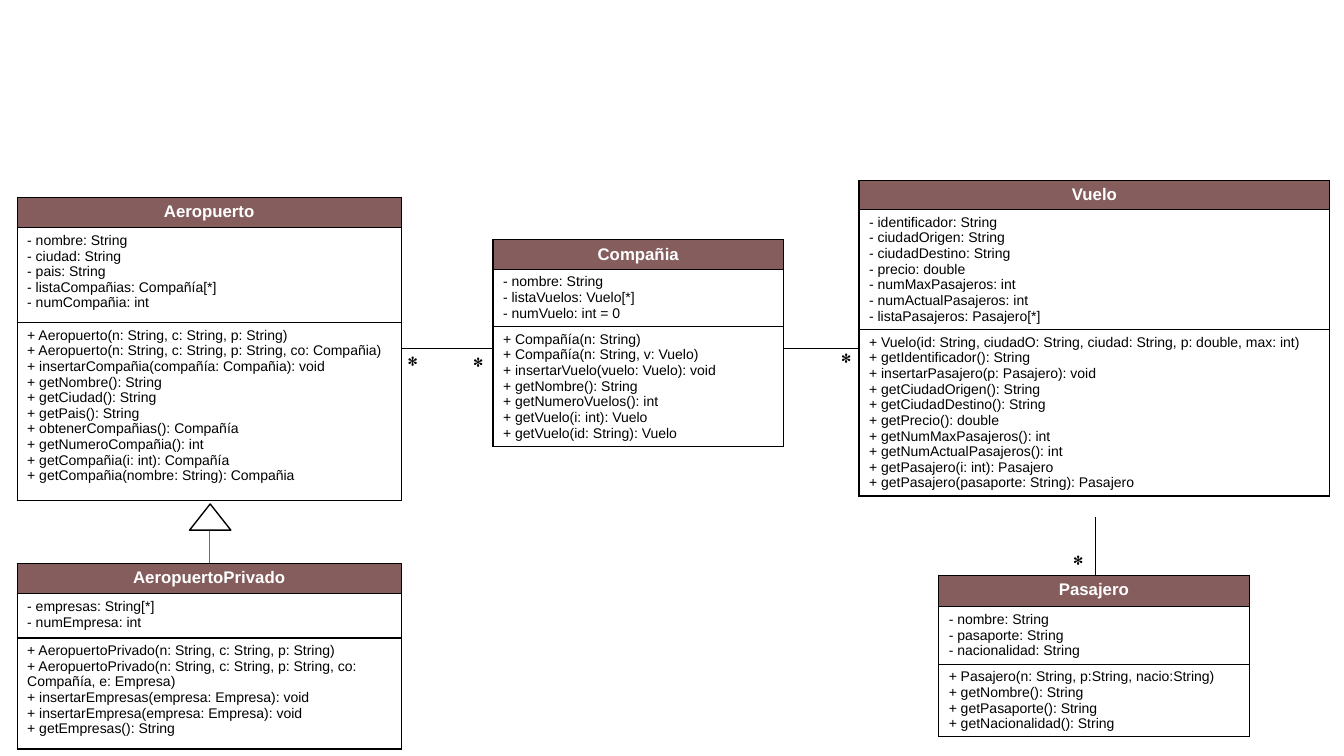
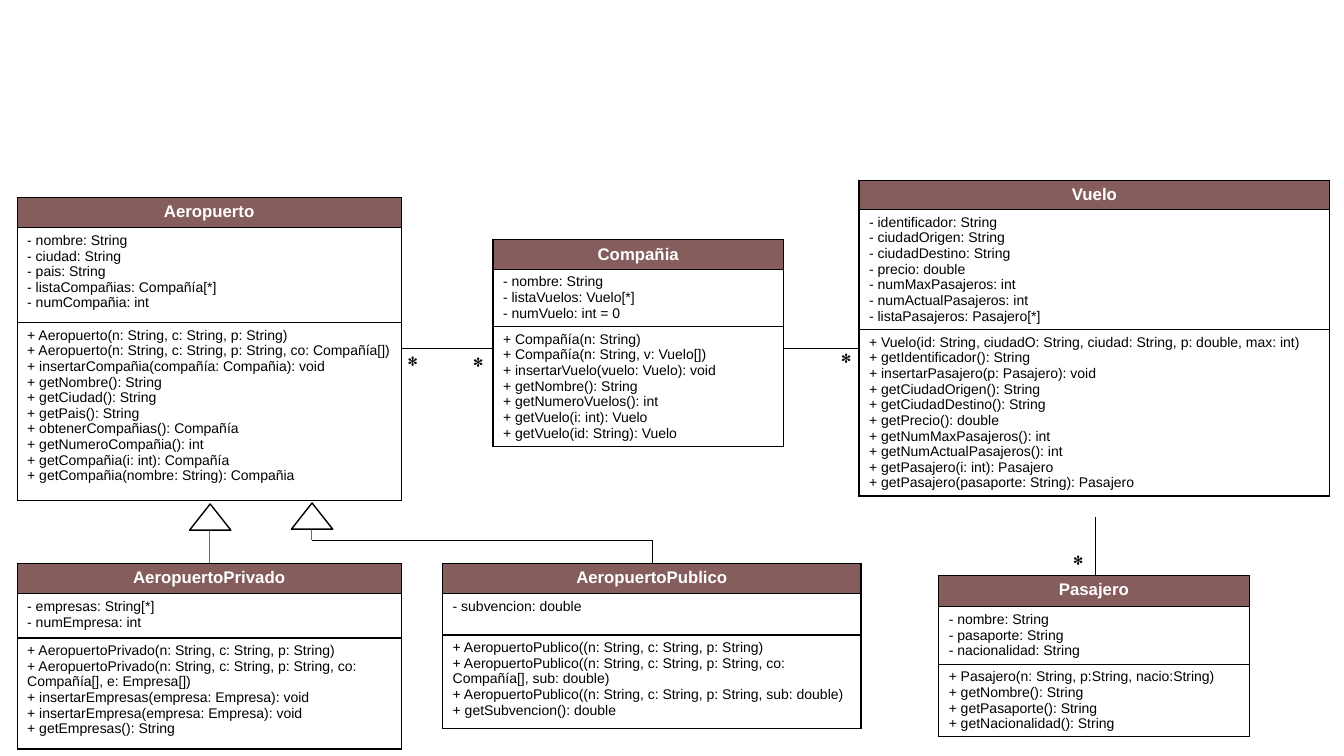
from dataclasses import dataclass

from lxml import etree
from pptx import Presentation
from pptx import util as u
from pptx.dml.color import RGBColor
from pptx.enum import shapes, text
from pptx.oxml import ns


@dataclass(frozen=True)
class Theme:
    header: str = "855D5D"
    ink: str = "000000"
    paper: str = "FFFFFF"
    accent: str = "D34817"
    font: str = "Arial"
    star_font: str = "TeX Gyre Bonum"
    title_size: float = 12
    member_size: float = 10
    star_size: float = 18
    border: float = 1
    line: float = 0.5


THEME = Theme()

AEROPUERTO = {
    "name": "Aeropuerto", "at": (0.17, 1.96), "width": 3.81, "rows": (0.3, 0.94, 1.77),
    "attributes": [
        "- nombre: String",
        "- ciudad: String",
        "- pais: String",
        "- listaCompañias: Compañía[*]",
        "- numCompañia: int",
    ],
    "methods": [
        "+ Aeropuerto(n: String, c: String, p: String)",
        "+ Aeropuerto(n: String, c: String, p: String, co: Compañia)",
        "+ insertarCompañia(compañía: Compañia): void",
        "+ getNombre(): String",
        "+ getCiudad(): String",
        "+ getPais(): String",
        "+ obtenerCompañias(): Compañía",
        "+ getNumeroCompañia(): int",
        "+ getCompañia(i: int): Compañía",
        "+ getCompañia(nombre: String): Compañia",
    ],
}
COMPANIA = {
    "name": "Compañia", "at": (4.89, 2.38), "width": 2.88, "rows": (0.29, 0.57, 1.18),
    "attributes": [
        "- nombre: String",
        "- listaVuelos: Vuelo[*]",
        "- numVuelo: int = 0",
    ],
    "methods": [
        "+ Compañía(n: String)",
        "+ Compañía(n: String, v: Vuelo)",
        "+ insertarVuelo(vuelo: Vuelo): void",
        "+ getNombre(): String",
        "+ getNumeroVuelos(): int",
        "+ getVuelo(i: int): Vuelo",
        "+ getVuelo(id: String): Vuelo",
    ],
}
VUELO = {
    "name": "Vuelo", "at": (8.52, 1.79), "width": 4.67, "rows": (0.29, 1.19, 1.65),
    "attributes": [
        "- identificador: String",
        "- ciudadOrigen: String",
        "- ciudadDestino: String",
        "- precio: double",
        "- numMaxPasajeros: int",
        "- numActualPasajeros: int",
        "- listaPasajeros: Pasajero[*]",
    ],
    "methods": [
        "+ Vuelo(id: String, ciudadO: String, ciudad: String, p: double, max: int)",
        "+ getIdentificador(): String",
        "+ insertarPasajero(p: Pasajero): void",
        "+ getCiudadOrigen(): String",
        "+ getCiudadDestino(): String",
        "+ getPrecio(): double",
        "+ getNumMaxPasajeros(): int",
        "+ getNumActualPasajeros(): int",
        "+ getPasajero(i: int): Pasajero",
        "+ getPasajero(pasaporte: String): Pasajero",
    ],
}
PASAJERO = {
    "name": "Pasajero", "at": (9.31, 5.71), "width": 3.08, "rows": (0.31, 0.57, 0.72),
    "attributes": [
        "- nombre: String",
        "- pasaporte: String",
        "- nacionalidad: String",
    ],
    "methods": [
        "+ Pasajero(n: String, p:String, nacio:String)",
        "+ getNombre(): String",
        "+ getPasaporte(): String",
        "+ getNacionalidad(): String",
    ],
}
PRIVADO = {
    "name": "AeropuertoPrivado", "at": (0.17, 5.59), "width": 3.81, "rows": (0.3, 0.44, 1.1),
    "attributes": [
        "- empresas: String[*]",
        "- numEmpresa: int",
    ],
    "methods": [
        "+ AeropuertoPrivado(n: String, c: String, p: String)",
        "+ AeropuertoPrivado(n: String, c: String, p: String, co: Compañía, e: Empresa)",
        "+ insertarEmpresas(empresa: Empresa): void",
        "+ insertarEmpresa(empresa: Empresa): void",
        "+ getEmpresas(): String",
    ],
}
PUBLICO = {
    "name": "AeropuertoPublico", "at": (4.39, 5.59), "width": 4.15, "rows": (0.3, 0.41, 0.93),
    "attributes": ["- subvencion: double"],
    "methods": [
        "+ AeropuertoPublico((n: String, c: String, p: String)",
        "+ AeropuertoPublico((n: String, c: String, p: String, co: Compañía[], sub: double)",
        "+ AeropuertoPublico((n: String, c: String, p: String, sub: double)",
        "+ getSubvencion(): double",
    ],
}

CLASSES = [COMPANIA, PASAJERO, VUELO, AEROPUERTO, PRIVADO]
LINES = [
    ((10.86, 5.13), (10.86, 5.71), THEME.ink),
    ((7.77, 3.46), (8.52, 3.46), THEME.ink),
    ((3.99, 3.46), (4.89, 3.46), THEME.ink),
    ((2.08, 5.59), (2.08, 5.13), THEME.accent),
]
PUBLICO_LINES = [
    ((6.47, 5.59), (6.47, 5.36), THEME.ink),
    ((6.47, 5.36), (3.09, 5.36), THEME.ink),
    ((3.09, 5.36), (3.09, 5.25), THEME.accent),
]
STARS = [(10.54, 5.39), (8.24, 3.39), (4.59, 3.43), (3.94, 3.42)]
STAR_SIZE = (0.43, 0.4)
ARROWS = [(1.88, 5)]
ARROW_SIZE = (0.41, 0.26)
ARRAY_PARAMETERS = {
    "v: Vuelo)": "v: Vuelo[])",
    "co: Compañia)": "co: Compañía[])",
    "co: Compañía, e: Empresa)": "co: Compañía[], e: Empresa[])",
}

SLIDES = [
    {"classes": CLASSES, "lines": LINES, "arrows": ARROWS, "changes": {}},
    {
        "classes": CLASSES + [PUBLICO],
        "lines": LINES + PUBLICO_LINES,
        "arrows": ARROWS + [(2.89, 4.99)],
        "changes": ARRAY_PARAMETERS,
    },
]


def inches(*values):
    return [u.Inches(value) for value in values]


def paint(fill, color):
    fill.solid()
    fill.fore_color.rgb = RGBColor.from_string(color)


def write(frame, lines, size, color, font=THEME.font, bold=False, align=text.PP_ALIGN.LEFT):
    formats = {"name": font, "size": u.Pt(size), "bold": bold}
    for index, line in enumerate(lines):
        paragraph = frame.paragraphs[0] if index == 0 else frame.add_paragraph()
        paragraph.alignment = align
        run = paragraph.add_run()
        run.text = line
        for name, value in formats.items():
            setattr(run.font, name, value)
        run.font.color.rgb = RGBColor.from_string(color)


def add_borders(cell):
    properties = cell._tc.get_or_add_tcPr()
    for index, side in enumerate("LRTB"):
        border = etree.Element(ns.qn(f"a:ln{side}"), w=str(u.Pt(THEME.border)))
        fill = etree.SubElement(border, ns.qn("a:solidFill"))
        etree.SubElement(fill, ns.qn("a:srgbClr"), val=THEME.ink)
        properties.insert(index, border)


def add_class(slide, item, changes):
    size = (item["width"], sum(item["rows"]))
    table = slide.shapes.add_table(3, 1, *inches(*item["at"], *size)).table
    methods = item["methods"]
    for old, new in changes.items():
        methods = [method.replace(old, new) for method in methods]
    contents = [[item["name"]], item["attributes"], methods]
    for index, (height, lines) in enumerate(zip(item["rows"], contents)):
        table.rows[index].height = u.Inches(height)
        cell = table.cell(index, 0)
        if index == 0:
            paint(cell.fill, THEME.header)
            write(cell.text_frame, lines, THEME.title_size, THEME.paper,
                  bold=True, align=text.PP_ALIGN.CENTER)
        else:
            paint(cell.fill, THEME.paper)
            write(cell.text_frame, lines, THEME.member_size, THEME.ink)
        add_borders(cell)


def add_line(slide, start, end, color):
    line = slide.shapes.add_connector(shapes.MSO_CONNECTOR.STRAIGHT, *inches(*start, *end))
    line.line.width = u.Pt(THEME.line)
    paint(line.line.fill, color)
    etree.SubElement(line._element.spPr, ns.qn("a:effectLst"))


def add_star(slide, position):
    frame = slide.shapes.add_textbox(*inches(*position, *STAR_SIZE)).text_frame
    frame.word_wrap = True
    frame.auto_size = text.MSO_AUTO_SIZE.SHAPE_TO_FIT_TEXT
    write(frame, ["*"], THEME.star_size, THEME.ink, THEME.star_font)


def add_arrow(slide, position):
    shape = slide.shapes.add_shape(
        shapes.MSO_SHAPE.ISOSCELES_TRIANGLE, *inches(*position, *ARROW_SIZE))
    shape.shadow.inherit = False
    paint(shape.fill, THEME.paper)
    paint(shape.line.fill, THEME.ink)
    shape.line.width = u.Pt(THEME.border)


def main():
    presentation = Presentation()
    presentation.slide_width, presentation.slide_height = inches(13.33, 7.5)
    for content in SLIDES:
        slide = presentation.slides.add_slide(presentation.slide_layouts[6])
        for item in content["classes"]:
            add_class(slide, item, content["changes"])
        for line in content["lines"]:
            add_line(slide, *line)
        for position in STARS:
            add_star(slide, position)
        for position in content["arrows"]:
            add_arrow(slide, position)
    presentation.save("out.pptx")


if __name__ == "__main__":
    main()
